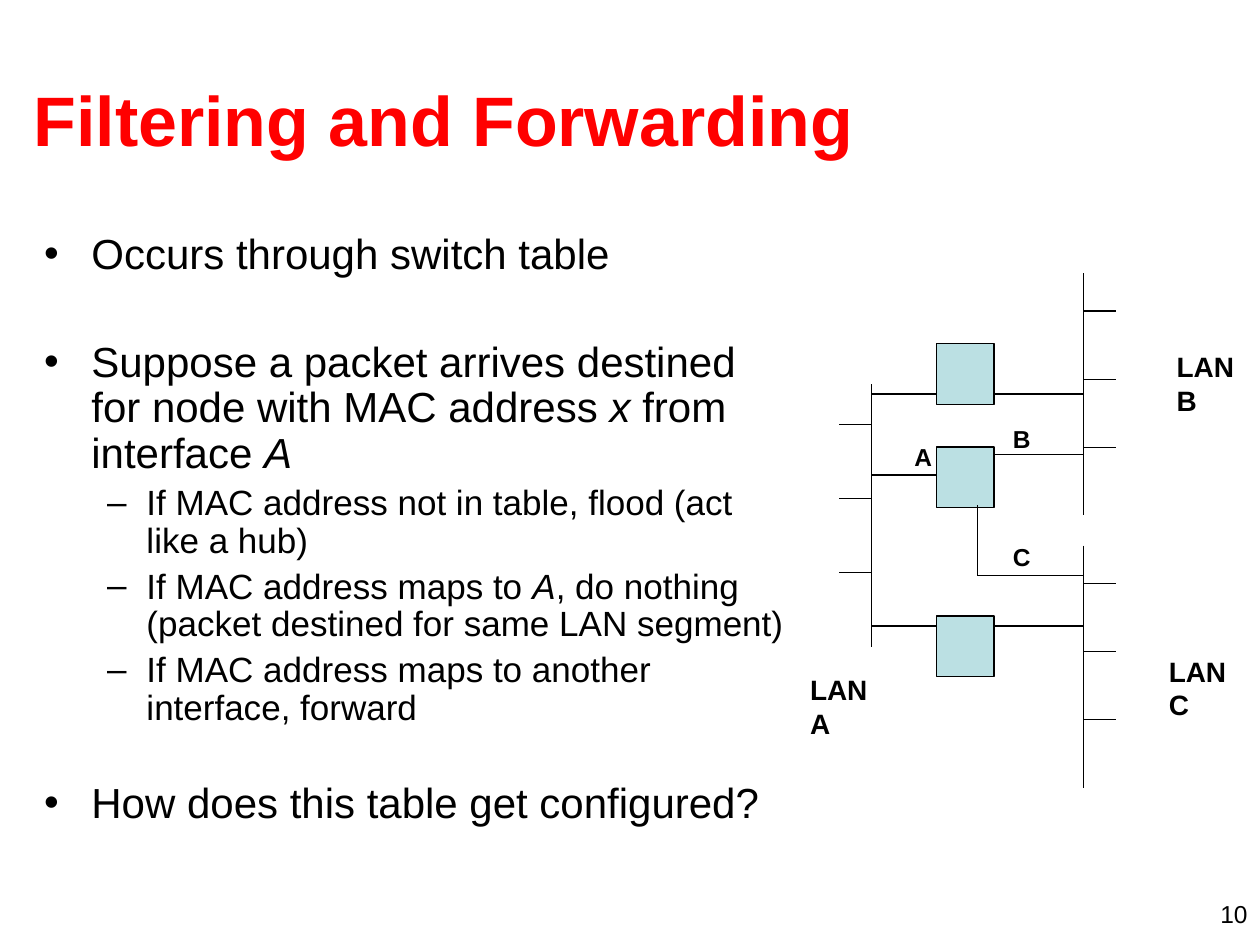
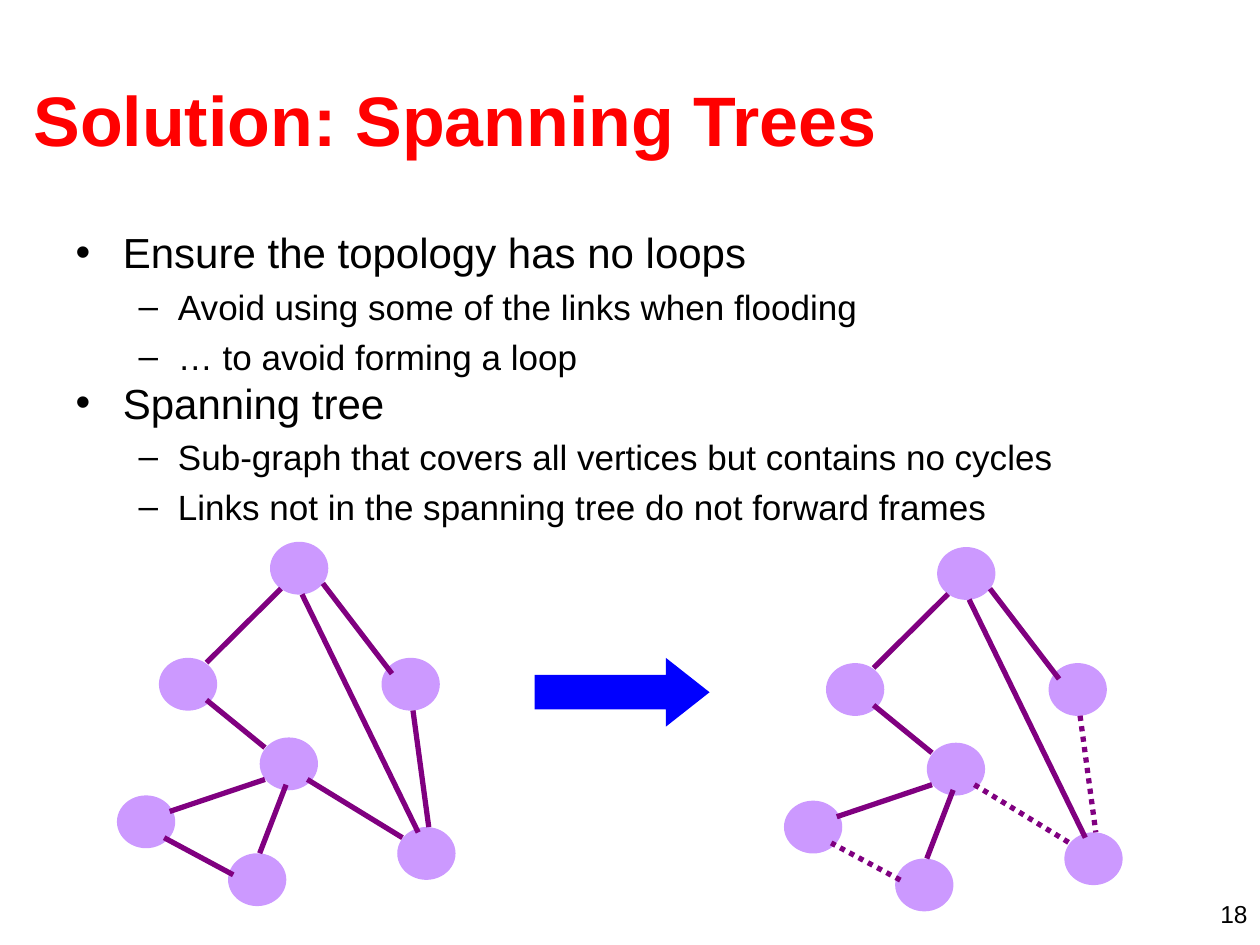
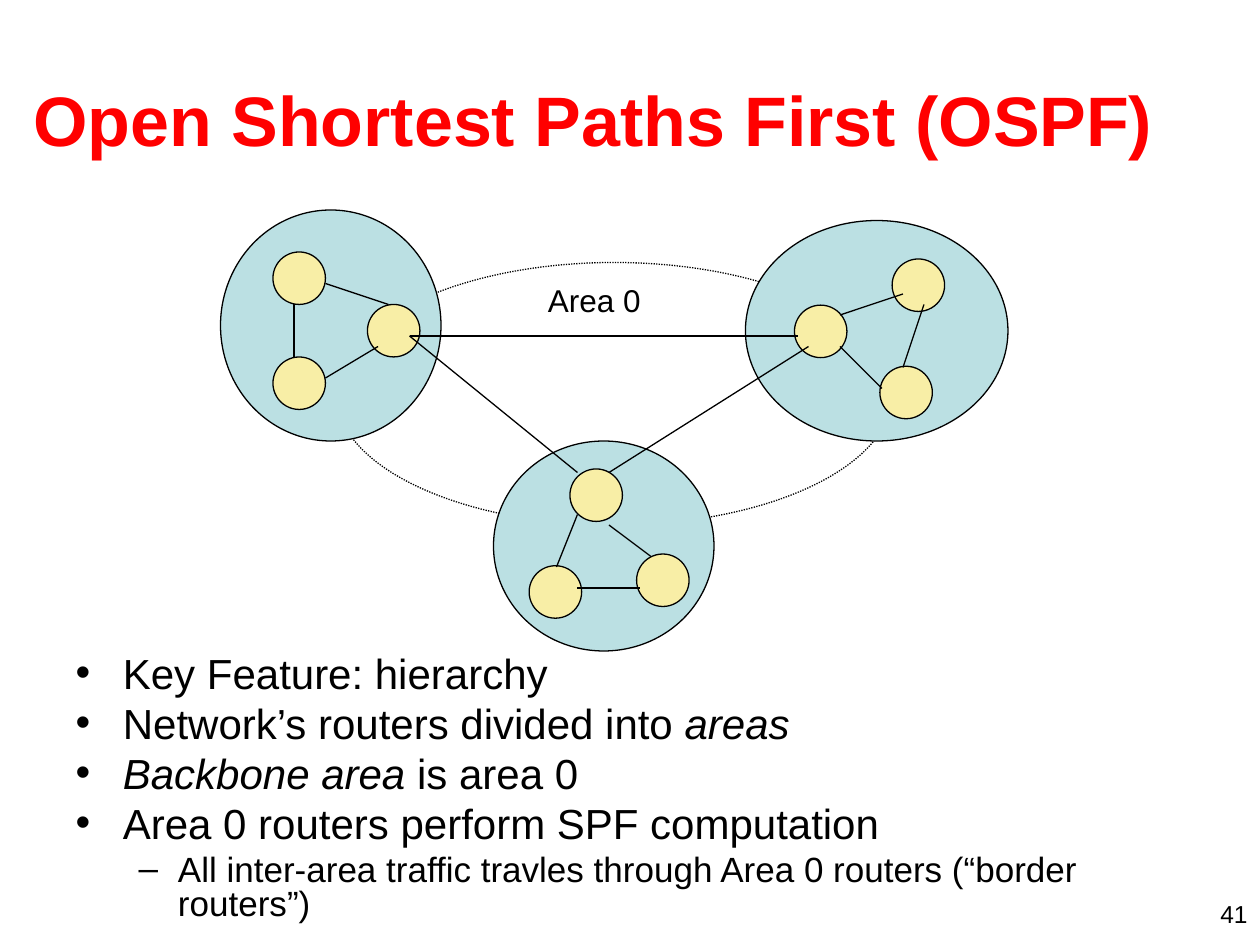
from dataclasses import dataclass

from lxml.etree import SubElement
from pptx import Presentation
from pptx.dml.color import RGBColor
from pptx.enum.dml import MSO_LINE_DASH_STYLE as DASH
from pptx.enum.shapes import MSO_CONNECTOR as CONN, MSO_SHAPE as SHAPE
from pptx.enum.text import MSO_ANCHOR as ANCHOR, MSO_AUTO_SIZE as AUTO, PP_ALIGN as ALIGN
from pptx.oxml.ns import qn
from pptx.util import Pt

BLACK, RED, BLUE = "000000", "FF0000", "0000FF"
TEAL, YELLOW = "BBE0E3", "F8EEA6"
LILAC, PURPLE = "CC99FF", "800080"


def rgb(color):
    return RGBColor.from_string(color)


@dataclass
class Item:
    text: str
    level: int = 0
    line: float = 1.0
    gap: float = 0  # extra points above the paragraph


class Deck:
    font = "Arial"
    # per list level: bullet, text size, left margin, hanging indent, space before
    levels = (("•", 24, 27, 27, 5.5), ("–", 20, 58.5, 22.5, 4.6))

    def __init__(self):
        self.prs = Presentation()
        self.prs.slide_width, self.prs.slide_height = Pt(720), Pt(540)
        self.s = None

    def slide(self, title, number):
        self.s = self.prs.slides.add_slide(self.prs.slide_layouts[1])
        sp = self.s.shapes.title
        self.place(sp, 12, 23, 690, 90)
        tf = sp.text_frame
        tf.text = title
        tf.vertical_anchor = ANCHOR.MIDDLE
        tf.auto_size = AUTO.NONE
        tf.paragraphs[0].alignment = ALIGN.LEFT
        self.style(tf.paragraphs[0], 40, RED, bold=True)
        self.text(str(number), 552, 510, 168, 18, 14, align=ALIGN.RIGHT)

    def place(self, sp, x, y, w, h):
        sp.left, sp.top, sp.width, sp.height = Pt(x), Pt(y), Pt(w), Pt(h)

    def style(self, p, size, color=BLACK, bold=False):
        for r in p.runs:
            r.font.name, r.font.size, r.font.bold = self.font, Pt(size), bold
            r.font.color.rgb = rgb(color)

    def body(self, x, y, w, h, items):
        """Fill the body placeholder; *stars* mark italic text."""
        sp = self.s.placeholders[1]
        self.place(sp, x, y, w, h)
        tf = sp.text_frame
        tf.auto_size = AUTO.NONE
        for i, item in enumerate(items):
            p = tf.add_paragraph() if i else tf.paragraphs[0]
            bullet, size, margin, hang, before = self.levels[item.level]
            p.level = item.level
            pPr = p._p.get_or_add_pPr()
            pPr.set("marL", str(Pt(margin)))
            pPr.set("indent", str(-Pt(hang)))
            SubElement(pPr, qn("a:buFont")).set("typeface", self.font)
            SubElement(pPr, qn("a:buChar")).set("char", bullet)
            p.line_spacing = item.line
            p.space_before = Pt(before + item.gap if i else 0)
            for n, part in enumerate(item.text.split("*")):
                if part:
                    r = p.add_run()
                    r.text = part
                    r.font.italic = n % 2 == 1
            self.style(p, size)

    def text(self, text, x, y, w, h, size, bold=False, wrap=True, align=ALIGN.LEFT):
        tf = self.s.shapes.add_textbox(Pt(x), Pt(y), Pt(w), Pt(h)).text_frame
        tf.text = text
        tf.word_wrap = wrap
        tf.paragraphs[0].alignment = align
        self.style(tf.paragraphs[0], size, bold=bold)

    def shape(self, kind, x, y, w, h, fill=None, line=None, dash=None):
        sp = self.s.shapes.add_shape(kind, Pt(x), Pt(y), Pt(w), Pt(h))
        sp.shadow.inherit = False
        if fill:
            sp.fill.solid()
            sp.fill.fore_color.rgb = rgb(fill)
        else:
            sp.fill.background()
        if line:
            self.stroke(sp.line, line, 0.75, dash)
        else:
            sp.line.fill.background()
        return sp

    def stroke(self, line, color, width, dash):
        line.color.rgb = rgb(color)
        line.width = Pt(width)
        if dash:
            line.dash_style = dash

    def line(self, x1, y1, x2, y2, color=BLACK, width=0.75, dash=None):
        c = self.s.shapes.add_connector(CONN.STRAIGHT, Pt(x1), Pt(y1), Pt(x2), Pt(y2))
        self.stroke(c.line, color, width, dash)
        SubElement(c._element.spPr, qn("a:effectLst"))

    def bus(self, x, top, height, first, step, stub):
        """A vertical LAN segment with three equally spaced host stubs."""
        self.line(x, top, x, top + height)
        for i in range(3):
            y = top + first + i * step
            self.line(x, y, x + stub, y)

    def graph(self, nodes, links, dx=0, dy=0, loop_links=(), dash=None):
        for x, y in nodes:
            self.shape(SHAPE.OVAL, x + dx, y + dy, 33.3, 30.2, LILAC)
        for group, style in ((links, None), (loop_links, dash)):
            for x1, y1, x2, y2 in group:
                self.line(x1 + dx, y1 + dy, x2 + dx, y2 + dy, PURPLE, 3, style)

    def area(self, x, y, w, h, routers):
        self.shape(SHAPE.OVAL, x, y, w, h, TEAL, BLACK)
        for rx, ry in routers:
            self.shape(SHAPE.OVAL, rx, ry, 30, 30, YELLOW, BLACK)


def filtering(d):
    d.slide("Filtering and Forwarding", 10)
    d.body(18, 129.6, 438, 356.4, [
        Item("Occurs through switch table", line=0.9),
        Item("Suppose a packet arrives destined for node with MAC address "
             "*x *from interface *A*", line=0.9, gap=30.4),
        Item("If MAC address not in table, flood (act like a hub)", 1, 0.9),
        Item("If MAC address maps to *A*, do nothing "
             "(packet destined for same LAN segment)", 1, 0.9),
        Item("If MAC address maps to another interface, forward", 1, 0.9),
        Item("How does this table get configured?", line=0.9, gap=25.3),
    ])
    lan_a, lan_bc, left, right, drop = 498, 619, 535, 568, 558.7
    d.bus(lan_a, 219.6, 150, 23, 42.2, -18.5)
    for top in (156.2, 311.8):
        d.bus(lan_bc, top, 138.3, 21.6, 38.9, 18.5)
    for top in (196.4, 255.4, 352):
        d.shape(SHAPE.RECTANGLE, left, top, right - left, 34.6, TEAL, BLACK)
    for y_left, y_right in ((225.2, 225.2), (271.4, 259.8), (357.8, 357.8)):
        d.line(lan_a, y_left, left, y_left)
        d.line(right, y_right, lan_bc, y_right)
    d.line(drop, 288.7, drop, 329)
    d.line(drop, 329, lan_bc, 329)
    for name, x, y in (("LAN A", 455.8, 380.9), ("LAN B", 665.3, 196.4), ("LAN C", 660.8, 370.4)):
        d.text(name, x, y, 60.5, 46, 16, bold=True)
    for name, x, y in (("A", 515.5, 249.3), ("B", 571.7, 239), ("C", 571.7, 306)):
        d.text(name, x, y, 24.5, 24, 14, bold=True, wrap=False)


def spanning_trees(d):
    d.slide("Solution: Spanning Trees", 18)
    d.body(36, 126, 648, 180.7, [
        Item("Ensure the topology has no loops"),
        Item("Avoid using some of the links when flooding", 1),
        Item("… to avoid forming a loop", 1),
        Item("Spanning tree", line=0.8),
        Item("Sub-graph that covers all vertices but contains no cycles", 1),
        Item("Links not in the spanning tree do not forward frames", 1),
    ])
    nodes = [(154.3, 309.6), (90.8, 375.9), (218, 375.9), (148.4, 421.4),
             (227, 472.6), (66.8, 454.5), (130.3, 487.6)]
    tree = [(160.6, 336.4, 118, 378.7), (184.5, 333.4, 224, 385),
            (118, 400, 151.4, 427.2), (172.6, 339.6, 239, 475.7),
            (97, 463.7, 151.4, 445.4), (148.4, 487.6, 163.5, 448.4)]
    loops = [(175.6, 445.4, 230, 478.7), (236, 406, 245, 472.6),
             (133.3, 499.9, 93.8, 478.7)]
    d.graph(nodes, tree, loop_links=loops)
    arrow = d.shape(SHAPE.RIGHT_ARROW, 305.5, 375.9, 100, 39.4, BLUE)
    arrow.adjustments[1] = 0.635
    d.graph(nodes, tree, 381.2, 3, loops, DASH.ROUND_DOT)


def ospf(d):
    d.slide("Open Shortest Paths First (OSPF)", 41)
    d.body(36, 372, 648, 126, [
        Item("Key Feature: hierarchy", line=0.8),
        Item("Network’s routers divided into *areas*", line=0.8),
        Item("*Backbone area* is area 0", line=0.8),
        Item("Area 0 routers perform SPF computation", line=0.8),
        Item("All inter-area traffic travles through Area 0 routers (“border routers”)", 1, 0.8),
    ])
    d.shape(SHAPE.OVAL, 192, 150, 318, 150, line=BLACK, dash=DASH.ROUND_DOT)
    d.area(126, 120, 126, 132, [(156, 144), (156, 204), (210, 174)])
    d.area(426, 126, 150, 126, [(454, 174.4), (502.8, 209.3), (509.8, 148)])
    d.area(282, 252, 126, 120, [(325.7, 268), (302.4, 323.3), (363.8, 316.6)])
    backbone = [(234, 192, 330, 270), (234, 192, 456, 192), (348, 270, 462, 198)]
    inner = [(168, 174, 168, 204), (216, 198, 186, 216), (222, 174, 186, 162),
             (372, 318, 348, 300), (318, 324, 330, 294), (330, 336, 366, 336),
             (480, 180, 516, 168), (516, 210, 528, 174), (504, 222, 480, 198)]
    for link in backbone + inner:
        d.line(*link)
    d.text("Area 0", 306, 157, 96, 29, 18)


def main():
    d = Deck()
    for build in (filtering, spanning_trees, ospf):
        build(d)
    d.prs.save("out.pptx")


if __name__ == "__main__":
    main()
